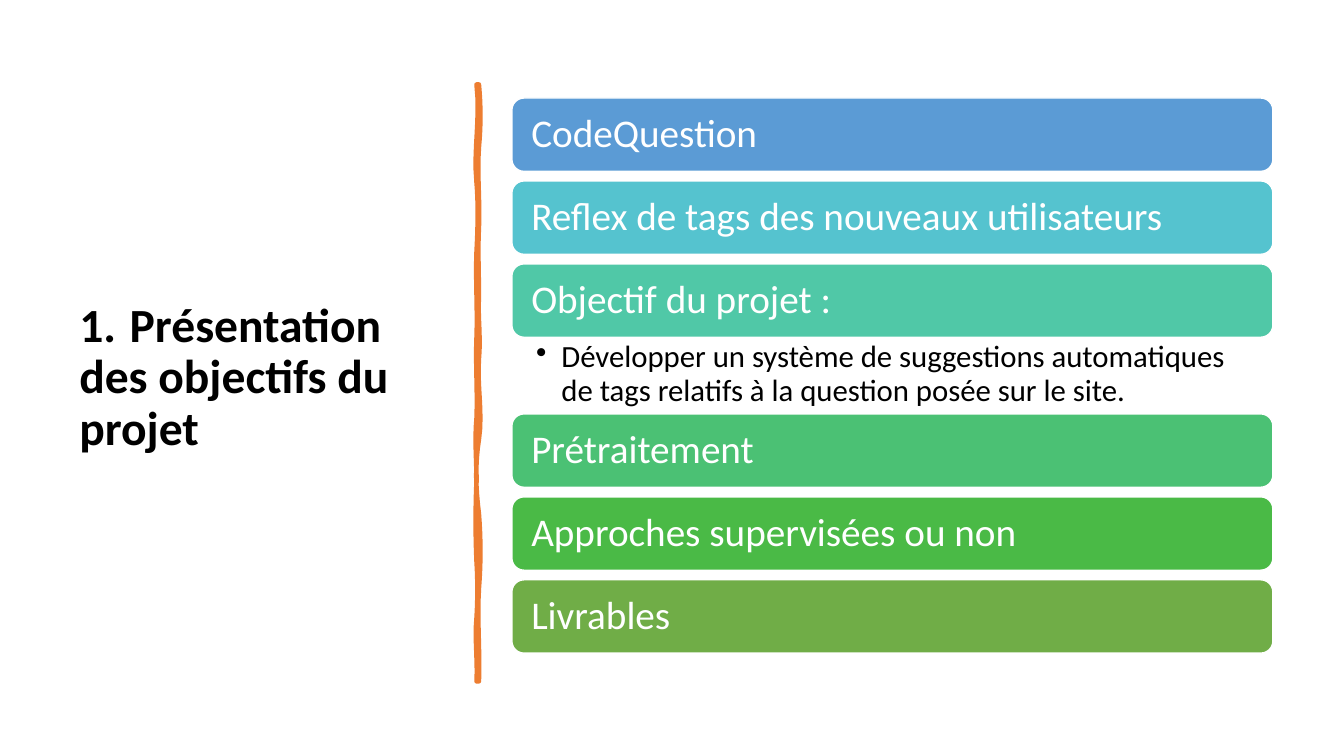
from lxml import etree
from pptx import Presentation
from pptx.dml.color import RGBColor
from pptx.enum.shapes import MSO_SHAPE
from pptx.enum.text import MSO_ANCHOR, PP_ALIGN
from pptx.oxml.ns import qn
from pptx.util import Cm, Pt

ROUND = MSO_SHAPE.ROUNDED_RECTANGLE
MIDDLE = MSO_ANCHOR.MIDDLE
TOP = MSO_ANCHOR.TOP
LEFT = PP_ALIGN.LEFT

FONT = "Calibri"
BLACK = RGBColor(0x00, 0x00, 0x00)
WHITE = RGBColor(0xFF, 0xFF, 0xFF)
ORANGE = RGBColor(0xED, 0x7D, 0x31)
BLUE = RGBColor(0x5B, 0x9B, 0xD5)
CYAN = RGBColor(0x55, 0xC3, 0xCF)
TEAL = RGBColor(0x50, 0xC8, 0xA7)
MINT = RGBColor(0x4B, 0xC1, 0x74)
GREEN = RGBColor(0x4A, 0xBA, 0x46)
OLIVE = RGBColor(0x70, 0xAD, 0x47)

BAR_LEFT, BAR_WIDTH, BAR_HEIGHT, PITCH = 12.9, 19.18, 1.85, 2.09
GOALS = [
    ("CodeQuestion", BLUE),
    ("Reflex de tags des nouveaux utilisateurs", CYAN),
    ("Objectif du projet :", TEAL),
]
STEPS = [
    ("Prétraitement", MINT),
    ("Approches supervisées ou non", GREEN),
    ("Livrables", OLIVE),
]
DETAIL = ("Développer un système de suggestions automatiques "
          "de tags relatifs à la question posée sur le site.")

STROKE_TOP = 2.13
RIGHT_EDGE, LEFT_EDGE = 12.07, 12.01
RIGHT_BENDS = [
    (0.05, 0.05, 3.71), (-0.05, 0.03, 5.74), (-0.03, 0, 7.47),
    (-0.03, 0.05, 9.04), (-0.05, 0.1, 11.07), (-0.1, -0.08, 12.95),
    (0.05, 0.05, 14.83), (-0.05, 0.03, 17.17),
]
LEFT_BENDS = [
    (0.03, -0.05, 15.57), (0.03, 0.03, 14.15), (-0.03, -0.03, 12.12),
    (0, -0.05, 10.54), (0.03, -0.03, 8.51), (0.03, -0.03, 6.35),
    (0.03, 0.05, 4.6), (-0.08, 0.1, STROKE_TOP),
]


def put_text(shape, text, size, color=BLACK, bold=False, anchor=MIDDLE,
             inset=(0.25, 0.13, 0.25, 0.13), bullet=False):
    frame = shape.text_frame
    frame.word_wrap = True
    frame.vertical_anchor = anchor
    (frame.margin_left, frame.margin_top,
     frame.margin_right, frame.margin_bottom) = map(Cm, inset)
    para = frame.paragraphs[0]
    para.alignment = LEFT
    para.line_spacing = 0.9
    run = para.add_run()
    run.text = text
    run.font.name = FONT
    run.font.size = Pt(size)
    run.font.bold = bold
    run.font.color.rgb = color
    if bullet:
        props = para._p.get_or_add_pPr()
        props.set("marL", str(Cm(0.64)))
        props.set("indent", str(-Cm(0.64)))
        etree.SubElement(props, qn("a:buChar")).set("char", "•")


def add_box(slide, left, top, width, height, text, size, **style):
    box = slide.shapes.add_textbox(Cm(left), Cm(top), Cm(width), Cm(height))
    put_text(box, text, size, **style)


def add_bars(slide, top, items):
    for row, (text, color) in enumerate(items):
        bar = slide.shapes.add_shape(
            ROUND, Cm(BAR_LEFT), Cm(top + row * PITCH),
            Cm(BAR_WIDTH), Cm(BAR_HEIGHT))
        bar.shadow.inherit = False
        bar.fill.solid()
        bar.fill.fore_color.rgb = color
        bar.line.color.rgb = WHITE
        bar.line.width = Pt(1)
        put_text(bar, text, 28, color=WHITE, inset=(0.4, 0.4, 0.4, 0.4))


def trace_edge(edge, start, bends, count=8):
    points = []
    for first, second, end in bends:
        for step in range(1, count + 1):
            t = step / count
            shift = 3 * t * (1 - t) * (first * (1 - t) + second * t)
            points.append((Cm(edge + shift), Cm(start + (end - start) * t)))
        start = end
    return points


def add_stroke(slide):
    base = RIGHT_BENDS[-1][-1]
    points = trace_edge(RIGHT_EDGE, STROKE_TOP, RIGHT_BENDS)
    points.append((Cm(LEFT_EDGE), Cm(base)))
    points += trace_edge(LEFT_EDGE, base, LEFT_BENDS)
    path = slide.shapes.build_freeform(Cm(RIGHT_EDGE), Cm(STROKE_TOP))
    path.add_line_segments(points, close=True)
    stroke = path.convert_to_shape()
    stroke.shadow.inherit = False
    stroke.fill.solid()
    stroke.fill.fore_color.rgb = ORANGE
    stroke.line.color.rgb = ORANGE
    stroke.line.width = Pt(3.25)
    etree.SubElement(stroke._element.spPr.find(qn("a:ln")), qn("a:round"))


def main():
    deck = Presentation()
    deck.slide_width = Cm(33.87)
    deck.slide_height = Cm(19.05)
    slide = deck.slides.add_slide(deck.slide_layouts[6])
    add_box(slide, 1.75, 1.78, 9.5, 15.52,
            "1.\tPrésentation des objectifs du projet", 34, bold=True)
    add_stroke(slide)
    add_bars(slide, 2.47, GOALS)
    add_box(slide, BAR_LEFT, 8.5, BAR_WIDTH, 1.93, DETAIL, 22,
            anchor=TOP, inset=(0.61, 0.1, 0.56, 0.1), bullet=True)
    add_bars(slide, 10.43, STEPS)
    deck.save("out.pptx")


if __name__ == "__main__":
    main()
